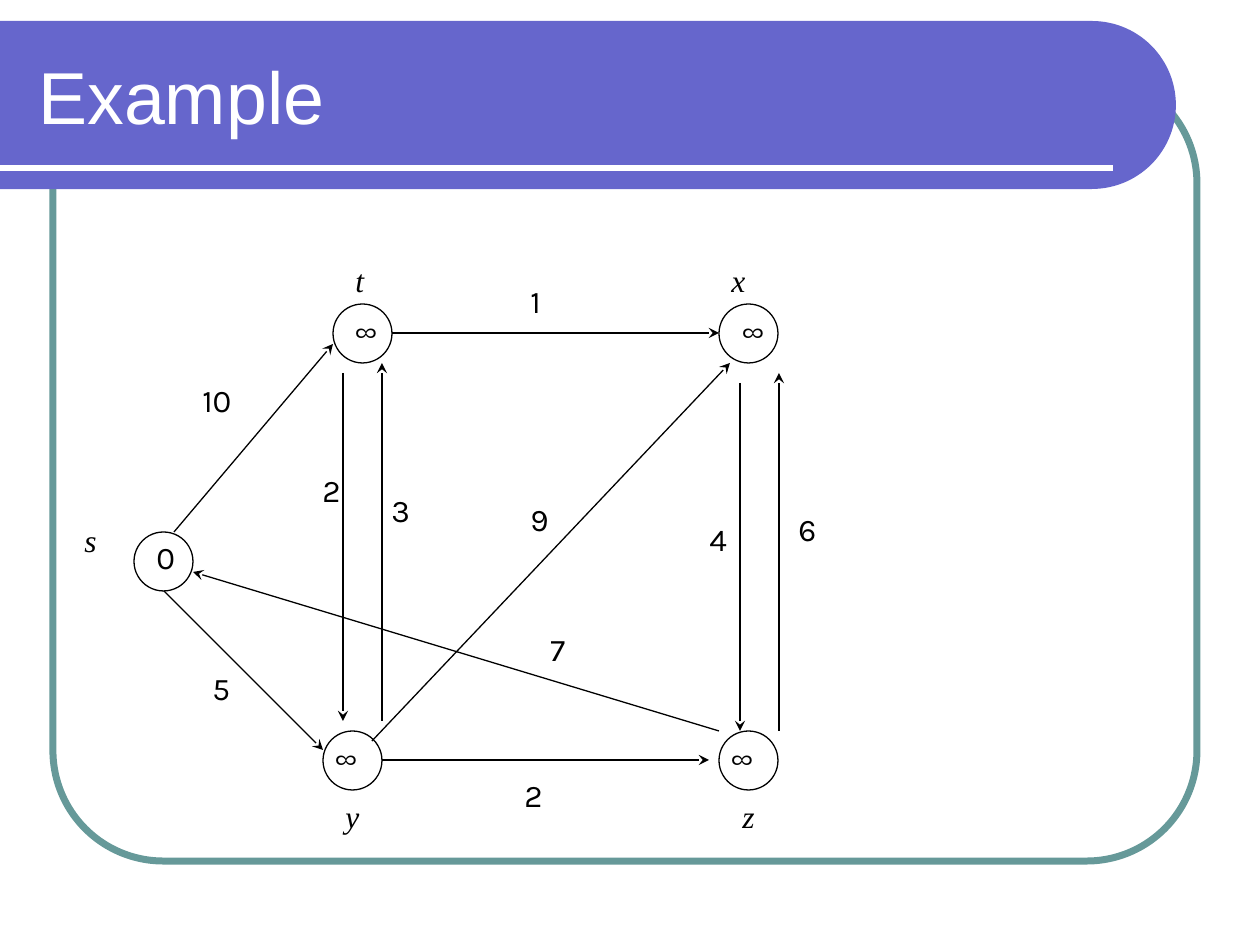
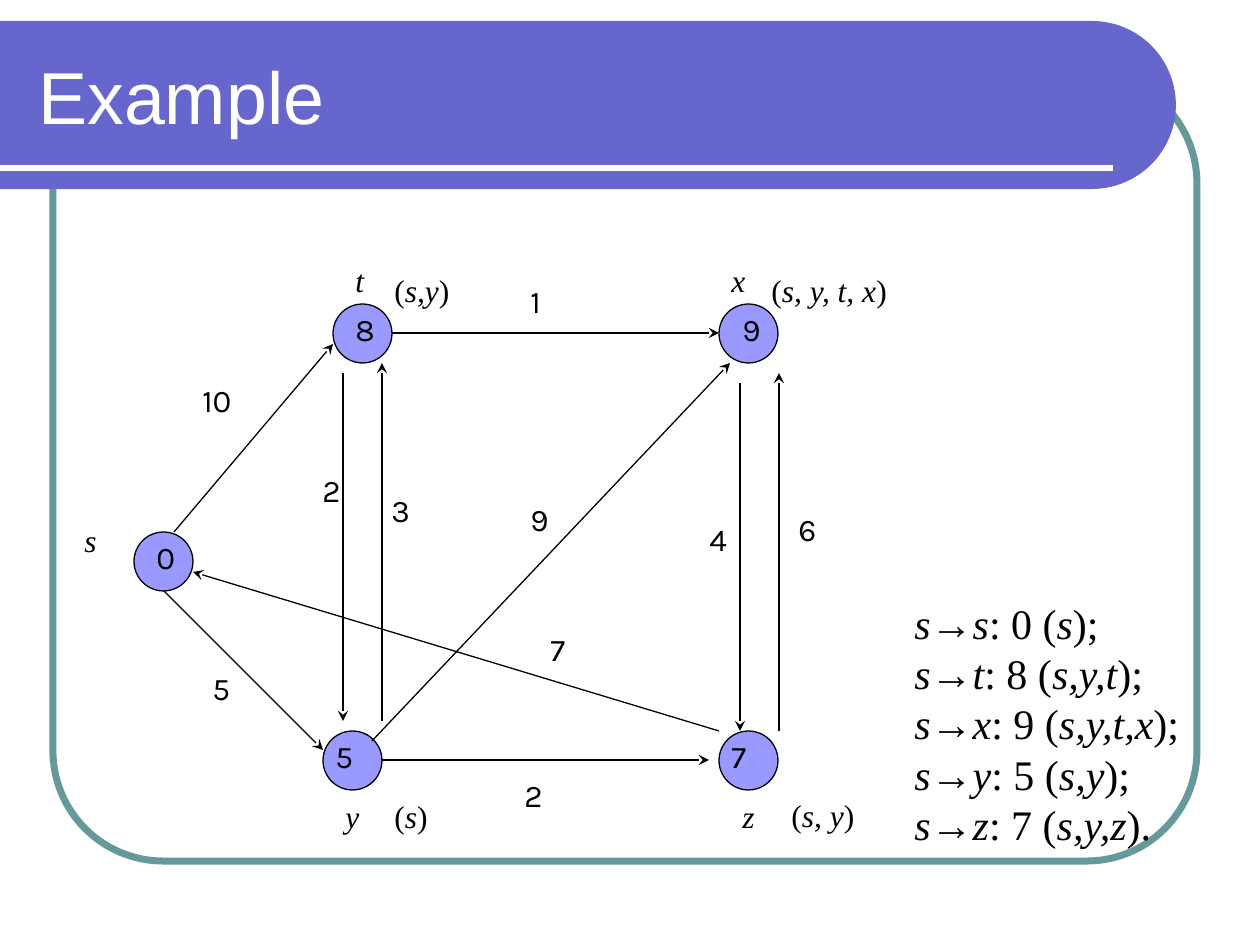
"""Build two slides of a shortest-path example on a weighted directed graph."""
import math

from lxml import etree
from pptx import Presentation
from pptx.dml.color import RGBColor
from pptx.enum.shapes import MSO_CONNECTOR, MSO_SHAPE
from pptx.enum.text import MSO_ANCHOR, MSO_AUTO_SIZE
from pptx.oxml.ns import qn
from pptx.util import Inches, Pt

PX = 7257
STRAIGHT = MSO_CONNECTOR.STRAIGHT
OVAL = MSO_SHAPE.OVAL
ROUNDED = MSO_SHAPE.ROUNDED_RECTANGLE
MIDDLE = MSO_ANCHOR.MIDDLE
TOP = MSO_ANCHOR.TOP
FIT = MSO_AUTO_SIZE.SHAPE_TO_FIT_TEXT
NO_FIT = MSO_AUTO_SIZE.NONE

BAND, FRAME, NODE = "6666CC", "669999", "9999FF"
BLACK, WHITE = "000000", "FFFFFF"
SERIF, SANS, TITLE = "Times New Roman", "Karla", "Arial"

NODE_SIZE = 59
NODES = {"s": (134, 532), "t": (333, 304), "y": (323, 731),
         "x": (719, 304), "z": (719, 731)}
VALUE_SPOTS = {"s": (144, 532), "t": (343, 304), "y": (323, 731),
               "x": (730, 304), "z": (719, 731)}
NAMES = [("s", 72, 515, 38), ("t", 343, 255, 34), ("x", 719, 255, 39),
         ("y", 333, 791, 39), ("z", 730, 791, 38)]
EDGES = [
    (174, 532, 333, 344), (164, 591, 323, 750), (392, 333, 719, 333),
    (372, 741, 730, 363), (382, 760, 709, 760), (719, 731, 193, 572),
    (343, 373, 343, 721), (382, 721, 382, 363), (740, 383, 740, 731),
    (779, 731, 779, 373),
]
WEIGHTS = [
    ("10", 190, 375, 60), ("2", 310, 465, 43), ("3", 379, 485, 43),
    ("7", 538, 624, 43), ("9", 518, 494, 43), ("1", 518, 276, 43),
    ("4", 697, 514, 43), ("6", 786, 504, 43), ("5", 200, 663, 43),
    ("2", 512, 770, 43),
]
PATHS = [("(*s*)", 382, 791, 59), ("(*s,y*)", 382, 265, 81),
         ("(*s, y*)", 779, 790, 88), ("(*s, y, t, x*)", 759, 265, 142)]
DISTANCES = [
    "*s*→*s*: 0 (*s*);",
    "*s*→*t*: 8 (*s,y,t*);",
    "*s*→*x*: 9 (*s,y,t,x*);",
    "*s*→*y*: 5 (*s,y*);",
    "*s*→*z*: 7 (*s,y,z*).",
]
SLIDES = [
    {"values": {"s": "0", "t": "∞", "y": "∞", "x": "∞", "z": "∞"},
     "fill": None, "paths": [], "distances": []},
    {"values": {"s": "0", "t": "8", "y": "5", "x": "9", "z": "7"},
     "fill": NODE, "paths": PATHS, "distances": DISTANCES},
]


def rgb(color):
    return RGBColor.from_string(color)


def write(s, lines, x, y, w, h, font, size=18, color=BLACK, title=False):
    tf = s.shapes.add_textbox(x * PX, y * PX, w * PX, h * PX).text_frame
    tf.word_wrap = title
    tf.auto_size = NO_FIT if title else FIT
    tf.vertical_anchor = MIDDLE if title else TOP
    for i, line in enumerate(lines):
        p = tf.add_paragraph() if i else tf.paragraphs[0]
        for j, part in enumerate(line.split("*")):
            if part:
                r = p.add_run()
                r.text = part
                r.font.name = font
                r.font.size = Pt(size)
                r.font.italic = j % 2 == 1
                r.font.color.rgb = rgb(color)


prs = Presentation()
prs.slide_width, prs.slide_height = Inches(10), Inches(7.5)

for content in SLIDES:
    s = prs.slides.add_slide(prs.slide_layouts[6])

    sp = s.shapes.add_shape(ROUNDED, 53 * PX, 73 * PX, 1144 * PX, 788 * PX)
    sp.adjustments[0] = 0.14
    sp.shadow.inherit = False
    sp.fill.background()
    sp.line.color.rgb = rgb(FRAME)
    sp.line.width = Pt(4)

    arc = [math.radians(a) for a in range(-90, 91, 3)]
    outline = [((1092 + 84 * math.cos(a)) * PX, (105 + 84 * math.sin(a)) * PX)
               for a in arc]
    builder = s.shapes.build_freeform(0, 21 * PX)
    builder.add_line_segments(outline + [(0, 189 * PX)], close=True)
    sp = builder.convert_to_shape()
    sp.shadow.inherit = False
    sp.fill.solid()
    sp.fill.fore_color.rgb = rgb(BAND)
    sp.line.fill.background()

    write(s, ["Example"], 26, 32, 1105, 126, TITLE, 42, WHITE, title=True)

    for x, y in NODES.values():
        sp = s.shapes.add_shape(OVAL, x * PX, y * PX, NODE_SIZE * PX, NODE_SIZE * PX)
        sp.shadow.inherit = False
        if content["fill"]:
            sp.fill.solid()
            sp.fill.fore_color.rgb = rgb(content["fill"])
        else:
            sp.fill.background()
        sp.line.color.rgb = rgb(BLACK)
        sp.line.width = Pt(0.75)

    lines = [((0, 168, 1113, 168), WHITE, 3, False)]
    lines += [(edge, BLACK, 0.75, True) for edge in EDGES]
    for ends, color, width, arrow in lines:
        c = s.shapes.add_connector(STRAIGHT, *[v * PX for v in ends])
        c.line.color.rgb = rgb(color)
        c.line.width = Pt(width)
        props = c.element.spPr
        if arrow:
            etree.SubElement(props.find(qn("a:ln")), qn("a:tailEnd"), type="stealth")
        etree.SubElement(props, qn("a:effectLst"))

    for name, x, y, w in NAMES:
        write(s, [f"*{name}*"], x, y, w, 50, SERIF)
    for weight, x, y, w in WEIGHTS:
        write(s, [weight], x, y, w, 50, SANS)
    for name, value in content["values"].items():
        write(s, [value], *VALUE_SPOTS[name], 48 if value == "∞" else 43, 50, SANS)
    for label, x, y, w in content["paths"]:
        write(s, [label], x, y, w, 50, SERIF)
    if content["distances"]:
        write(s, content["distances"], 902, 591, 292, 267, SERIF, 24)

prs.save("out.pptx")
